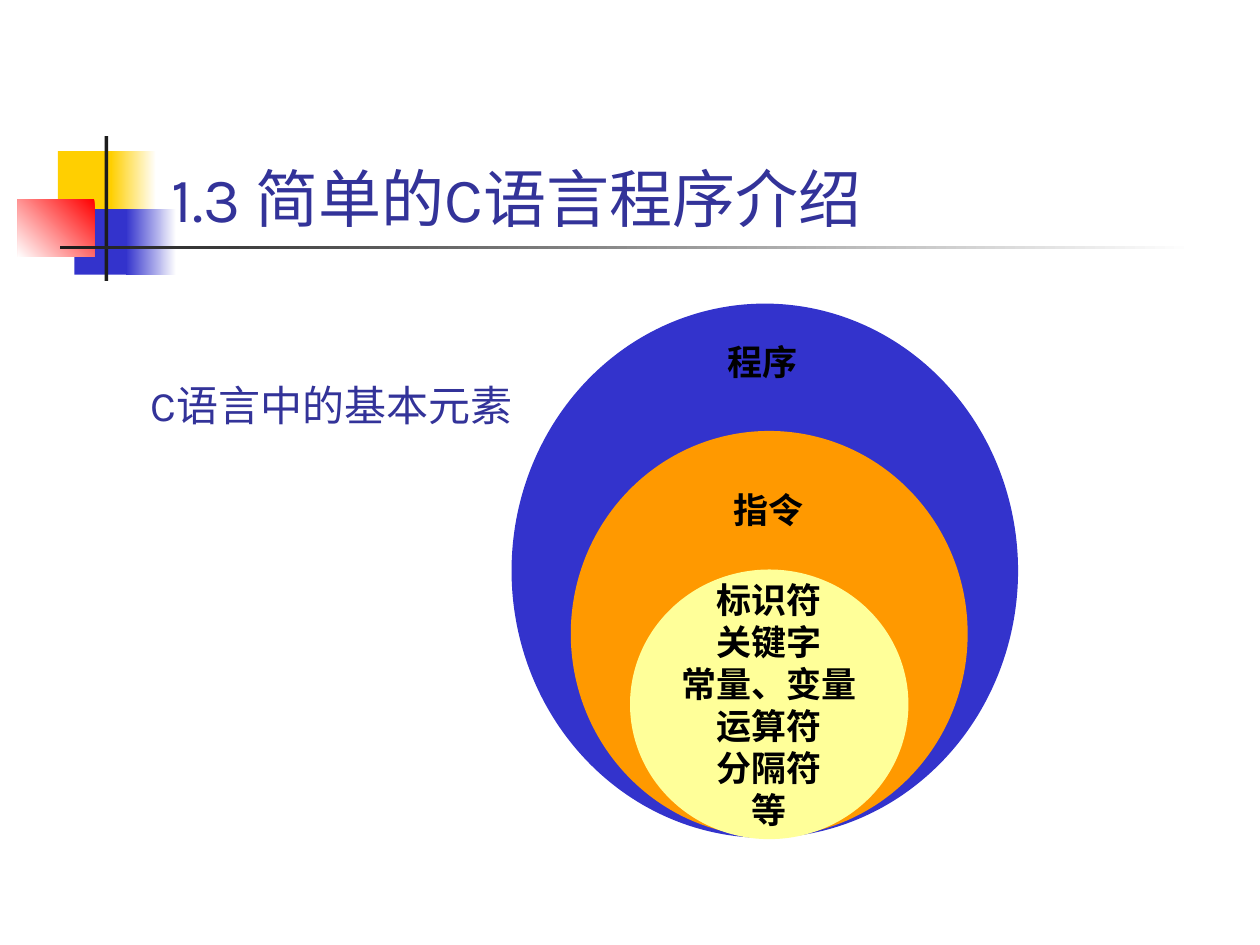
from pptx import Presentation
from pptx.dml.color import RGBColor
from pptx.enum.shapes import MSO_SHAPE
from pptx.enum.text import MSO_ANCHOR, MSO_AUTO_SIZE, PP_ALIGN
from pptx.util import Inches, Pt

RECT, OVAL = MSO_SHAPE.RECTANGLE, MSO_SHAPE.OVAL
TOP, MIDDLE, BOTTOM = MSO_ANCHOR.TOP, MSO_ANCHOR.MIDDLE, MSO_ANCHOR.BOTTOM
LEFT, CENTER = PP_ALIGN.LEFT, PP_ALIGN.CENTER
TITLE_ONLY = 5

COLORS = {
    "white": "FFFFFF", "black": "000000", "dark": "1C1C1C",
    "gold": "FFCF01", "blue": "3333CC", "red": "FF0000",
    "navy": "333399", "orange": "FF9900", "cream": "FFFF99",
}


def rgb(name):
    return RGBColor.from_string(COLORS[name])


def write(shape, text, size=20, font="Arial", color="black", bold=True,
          align=CENTER, anchor=MIDDLE, wrap=False):
    frame = shape.text_frame
    frame.text = text
    frame.auto_size = MSO_AUTO_SIZE.NONE
    frame.word_wrap = wrap
    frame.vertical_anchor = anchor
    for para in frame.paragraphs:
        para.alignment = align
        para.font.size = Pt(size)
        para.font.name = font
        para.font.bold = bold
        para.font.color.rgb = rgb(color)


deck = Presentation()
deck.slide_width, deck.slide_height = Inches(10), Inches(7.5)
slide = deck.slides.add_slide(deck.slide_layouts[TITLE_ONLY])
shapes = slide.shapes

# Corner ornament, then the nested circles: kind, place, colours, angle
parts = [
    (RECT, (0.46, 1.2, 0.48, 0.52), ["gold"], 0),
    (RECT, (0.88, 1.2, 0.36, 0.52), ["white", "gold"], 180),
    (RECT, (0.59, 1.66, 0.46, 0.52), ["blue"], 0),
    (RECT, (1, 1.66, 0.4, 0.52), ["white", "blue"], 180),
    (RECT, (0.14, 1.58, 0.61, 0.46), ["red", "white"], 225),
    (RECT, (0.83, 1.08, 0.03, 1.15), ["dark"], 0),
    (RECT, (0.48, 1.95, 9, 0.03), ["white", "dark"], 180),
    (OVAL, (4.06, 2.41, 4.02, 4.24), ["blue"], 0),
    (OVAL, (4.53, 3.42, 3.15, 3.22), ["orange"], 0),
    (OVAL, (5, 4.52, 2.21, 2.14), ["cream"], 0),
]
for kind, place, tones, angle in parts:
    shape = shapes.add_shape(kind, *map(Inches, place))
    shape.shadow.inherit = False
    shape.line.fill.background()
    if len(tones) == 1:
        shape.fill.solid()
        shape.fill.fore_color.rgb = rgb(tones[0])
    else:
        shape.fill.gradient()
        shape.fill.gradient_angle = angle
        for stop, tone in zip(shape.fill.gradient_stops, tones):
            stop.color.rgb = rgb(tone)

# The last circle drawn is the innermost one
write(shape, "标识符\n关键字\n常量、变量\n运算符\n分隔符\n等")

for text, left, top in [("程序", 5.55, 2.65), ("指令", 5.6, 3.82)]:
    label = shapes.add_textbox(Inches(left), Inches(top), Inches(1), Inches(0.44))
    write(label, text, wrap=True)

topic = shapes.add_textbox(Inches(1.1), Inches(2.96), Inches(3.16), Inches(0.5))
write(topic, "C语言中的基本元素", size=24, font="Karla", color="navy",
      bold=False, align=LEFT, anchor=TOP)

title = shapes.title
title.left, title.top = Inches(1.26), Inches(0.67)
title.width, title.height = Inches(8.52), Inches(1.25)
write(title, "1.3 简单的C语言程序介绍", size=36, font="Karla", color="navy",
      bold=False, align=LEFT, anchor=BOTTOM, wrap=True)
# Bring the title in front of the ornament
title.element.getparent().append(title.element)

deck.save("out.pptx")
